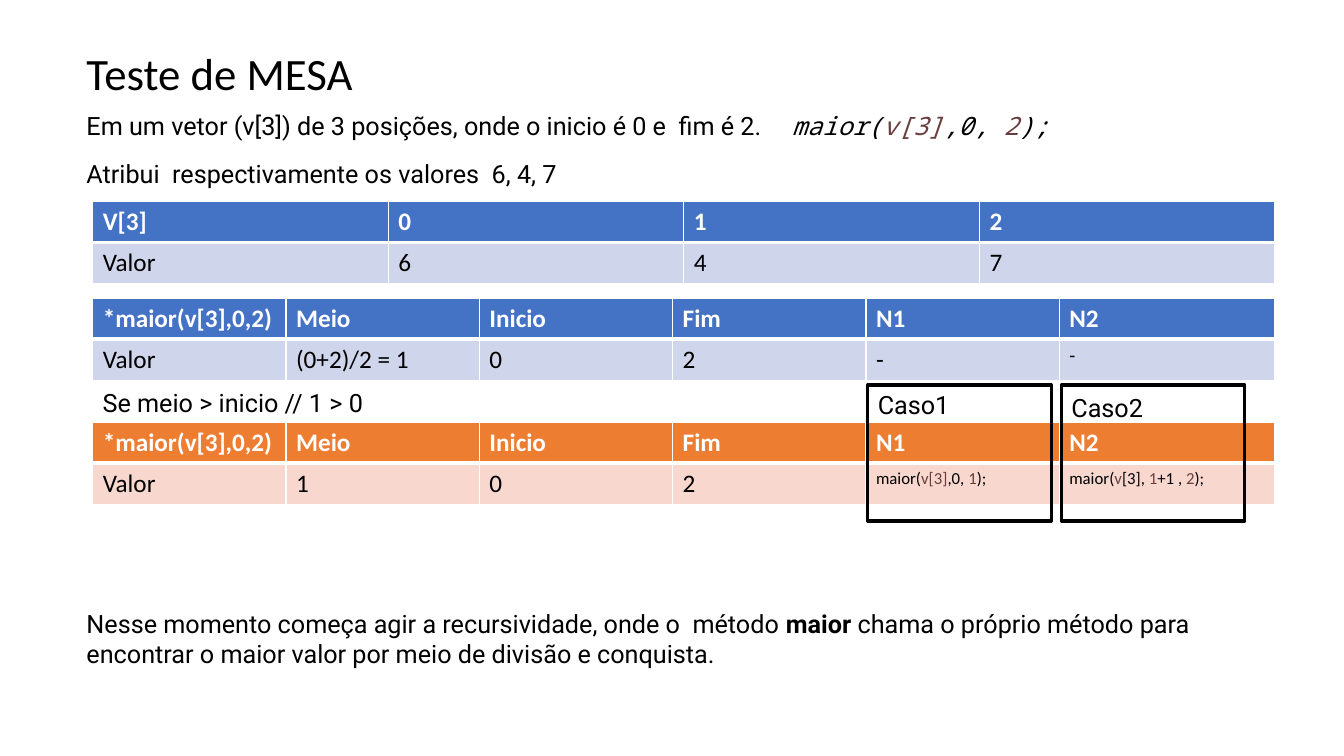
from pptx import Presentation
from pptx.dml.color import RGBColor
from pptx.enum.shapes import MSO_SHAPE
from pptx.oxml import parse_xml
from pptx.oxml.ns import nsdecls
from pptx.util import Pt

THEME = dict(
    black="000000", white="FFFFFF", code="6A3E3E",
    blue=("4472C4", "CFD5EA"), orange=("ED7D31", "F8D7CE"),
    title=32, body=18, dash=14, call=12,
    head_font="Calibri", text_font="Roboto", code_font="Noto Sans Mono",
)

# Content: a text is a list of runs, each (text, format changes)
CODE = dict(color=THEME["code"])


def plain(text):
    return [(text, {})]


MONO = dict(font=THEME["code_font"], italic=True)
TEXTS = [  # left, top, width, height, runs, format
    (54.72, 28.8, 816.5, 46, plain("Teste de MESA"),
     dict(font=THEME["head_font"], size=THEME["title"])),
    (54.72, 74.9, 564.5, 29,
     plain("Em um vetor (v[3]) de 3 posições, onde o inicio é 0 e  fim é 2."), {}),
    (54.72, 109.4, 564.5, 29, plain("Atribui  respectivamente os valores  6, 4, 7"), {}),
    (66.24, 272.9, 540, 29, plain("Se meio > inicio // 1 > 0"), {}),
    (558.72, 74.9, 390, 29,
     [("maior(", {}), ("v[3]", CODE), (",0, ", {}), ("2", CODE), (");", {})], MONO),
    (54.72, 430.6, 856, 51,
     [("Nesse momento começa agir a recursividade, onde o  método ", {}),
      ("maior", dict(bold=True)),
      (" chama o próprio método para encontrar o maior valor por meio de "
       "divisão e conquista.", {})], {}),
]

HEADINGS = ["*maior(v[3],0,2)", "Meio", "Inicio", "Fim", "N1", "N2"]
CALL = dict(size=THEME["call"])
CALL_CODE = CALL | CODE
CALL_1 = [("maior(", CALL), ("v[3]", CALL_CODE), (",0, ", CALL),
          ("1", CALL_CODE), (");", CALL)]
CALL_2 = [("maior(", CALL), ("v", CALL_CODE), ("[3], ", CALL), ("1", CALL_CODE),
          ("+1 , ", CALL), ("2", CALL_CODE), (");", CALL)]
DASH = [("-", dict(size=THEME["dash"]))]
CALL_COLS = [138.1] * 5 + [154.1]
TABLES = [  # top, colours, column widths, rows
    (144, THEME["blue"], [211.15] * 4,
     [["V[3]", "0", "1", "2"], ["Valor", "6", "4", "7"]]),
    (213.1, THEME["blue"], CALL_COLS,
     [HEADINGS, ["Valor", "(0+2)/2 = 1", "0", "2", "-", DASH]]),
    (301.7, THEME["orange"], CALL_COLS,
     [HEADINGS, ["Valor", "1", "0", "2", CALL_1, CALL_2]]),
]
TABLE_LEFT, ROW_HEIGHT = 66.24, 29.2

CASES = [("Caso1", 619.9, 274.3), ("Caso2", 758.2, 276.5)]  # label, left, label top
CASE_TOP, CASE_WIDTH, CASE_HEIGHT = 275, 131, 97.2

prs = Presentation()
prs.slide_width, prs.slide_height = Pt(960), Pt(540)
s = prs.slides.add_slide(prs.slide_layouts[6])


def write(tf, runs, font=THEME["text_font"], size=THEME["body"],
          color=THEME["black"], bold=False, italic=False):
    base = dict(font=font, size=size, color=color, bold=bold, italic=italic)
    p = tf.paragraphs[0]
    for text, changes in runs:
        f = base | changes
        r = p.add_run()
        r.text = text
        r.font.name, r.font.size = f["font"], Pt(f["size"])
        r.font.bold, r.font.italic = f["bold"], f["italic"]
        r.font.color.rgb = RGBColor.from_string(f["color"])


def add_text(runs, left, top, width, height, **fmt):
    tf = s.shapes.add_textbox(Pt(left), Pt(top), Pt(width), Pt(height)).text_frame
    tf.word_wrap = True
    write(tf, runs, **fmt)


def set_borders(cell, **widths):
    tc_pr = cell._tc.get_or_add_tcPr()
    for i, side in enumerate("LRTB"):
        width = Pt(widths.get(side, 1))
        tc_pr.insert(i, parse_xml(
            f'<a:ln{side} {nsdecls("a")} w="{width}"><a:solidFill>'
            f'<a:srgbClr val="{THEME["white"]}"/></a:solidFill></a:ln{side}>'))


def add_table(top, fills, widths, rows):
    table = s.shapes.add_table(
        len(rows), len(widths), Pt(TABLE_LEFT), Pt(top),
        Pt(sum(widths)), Pt(ROW_HEIGHT * len(rows))).table
    for col, width in zip(table.columns, widths):
        col.width = Pt(width)
    for i, row in enumerate(rows):
        table.rows[i].height = Pt(ROW_HEIGHT)
        header = i == 0
        for j, content in enumerate(row):
            cell = table.cell(i, j)
            cell.fill.solid()
            cell.fill.fore_color.rgb = RGBColor.from_string(fills[i])
            set_borders(cell, **({"B": 3} if header else {"T": 3}))
            runs = plain(content) if isinstance(content, str) else content
            write(cell.text_frame, runs, font=THEME["head_font"], bold=header,
                  color=THEME["white" if header else "black"])


# Tables and texts
for spec_row in TABLES:
    add_table(*spec_row)
for left, top, width, height, runs, fmt in TEXTS:
    add_text(runs, left, top, width, height, **fmt)

# Frames around the two recursive calls
for label, left, label_top in CASES:
    sp = s.shapes.add_shape(MSO_SHAPE.RECTANGLE, Pt(left), Pt(CASE_TOP),
                            Pt(CASE_WIDTH), Pt(CASE_HEIGHT))
    sp.shadow.inherit = False
    sp.fill.background()
    sp.line.color.rgb = RGBColor.from_string(THEME["black"])
    sp.line.width = Pt(2.25)
    add_text(plain(label), left, label_top, CASE_WIDTH, 29)

prs.save("out.pptx")
